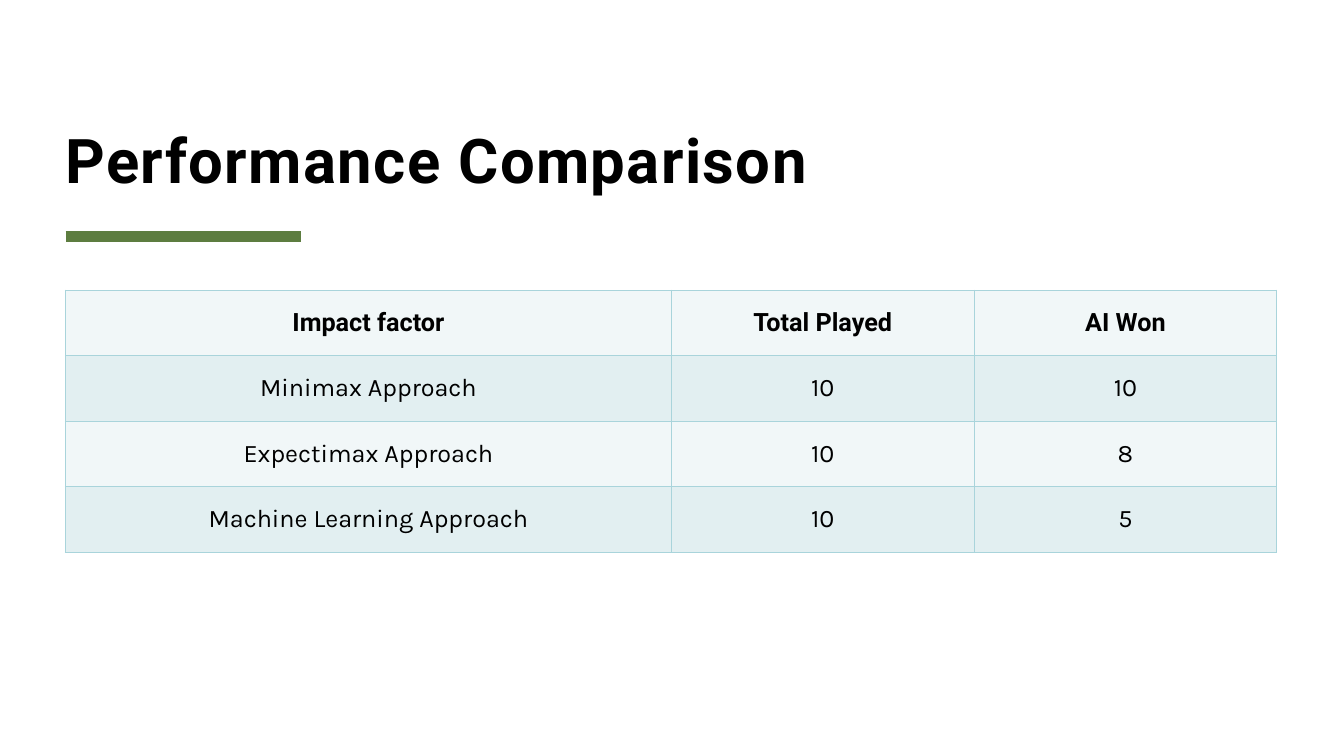
from lxml import etree
from pptx import Presentation
from pptx.dml.color import RGBColor
from pptx.enum import shapes, text
from pptx.oxml import ns
from pptx.util import Pt

TITLE = "Performance Comparison"
ROWS = [
    ("Impact factor", "Total Played", "AI Won"),
    ("Minimax Approach", "10", "10"),
    ("Expectimax Approach", "10", "8"),
    ("Machine Learning Approach", "10", "5"),
]

BLACK = RGBColor(0x00, 0x00, 0x00)
WHITE = RGBColor(0xFF, 0xFF, 0xFF)
GREEN = RGBColor(0x5D, 0x7D, 0x40)
EDGE = RGBColor(0xA9, 0xD4, 0xDB)
BANDS = (RGBColor(0xF1, 0xF7, 0xF8), RGBColor(0xE2, 0xEF, 0xF1))

LEFT = 46.8
WIDTHS = (432.8, 216.2, 216.2)
ROW_H = 46.8


def write(frame, words, size=18, font="Karla", bold=False,
          align=text.PP_ALIGN.CENTER, gap=0, lead=None):
    """Fill a text frame; gap is letter spacing in points."""
    para = frame.paragraphs[0]
    para.alignment = align
    if lead:
        para.line_spacing = lead
    run = para.add_run()
    run.text = words
    run.font.size = Pt(size)
    run.font.name = font
    run.font.bold = bold
    run.font.color.rgb = BLACK
    if gap:
        run.font._element.set("spc", str(gap * 100))


def border(cell):
    props = cell._tc.get_or_add_tcPr()
    for spot, side in enumerate(("lnL", "lnR", "lnT", "lnB")):
        line = etree.Element(ns.qn("a:" + side), w=str(Pt(1)))
        fill = etree.SubElement(line, ns.qn("a:solidFill"))
        etree.SubElement(fill, ns.qn("a:srgbClr"), val=str(EDGE))
        props.insert(spot, line)


def add_title(slide):
    title = slide.shapes.title
    title.left, title.top = Pt(LEFT), Pt(46)
    title.width, title.height = Pt(864), Pt(93.6)
    frame = title.text_frame
    frame.word_wrap = True
    frame.auto_size = text.MSO_AUTO_SIZE.NONE
    frame.vertical_anchor = text.MSO_ANCHOR.BOTTOM
    frame.margin_left = frame.margin_right = 0
    frame.margin_top = frame.margin_bottom = 0
    write(frame, TITLE, size=44, font="Roboto", bold=True,
          align=text.PP_ALIGN.LEFT, gap=1, lead=0.8)


def add_rule(slide):
    rule = slide.shapes.add_connector(
        shapes.MSO_CONNECTOR.STRAIGHT,
        Pt(LEFT), Pt(169.2), Pt(LEFT + 168), Pt(169.2))
    rule.line.color.rgb = GREEN
    rule.line.width = Pt(8)
    etree.SubElement(rule._element.spPr, ns.qn("a:effectLst"))


def add_scores(slide):
    table = slide.shapes.add_table(
        len(ROWS), len(WIDTHS), Pt(LEFT), Pt(207.2),
        Pt(sum(WIDTHS)), Pt(ROW_H * len(ROWS))).table
    for col, width in zip(table.columns, WIDTHS):
        col.width = Pt(width)
    for r, row in enumerate(ROWS):
        table.rows[r].height = Pt(ROW_H)
        head = r == 0
        for c, words in enumerate(row):
            cell = table.cell(r, c)
            cell.fill.solid()
            cell.fill.fore_color.rgb = BANDS[r % 2]
            cell.vertical_anchor = text.MSO_ANCHOR.MIDDLE
            border(cell)
            write(cell.text_frame, words, bold=head,
                  font="Roboto" if head else "Karla")


def main():
    deck = Presentation()
    deck.slide_width, deck.slide_height = Pt(960), Pt(540)
    slide = deck.slides.add_slide(deck.slide_layouts[5])
    slide.background.fill.solid()
    slide.background.fill.fore_color.rgb = WHITE
    add_rule(slide)
    add_title(slide)
    add_scores(slide)
    deck.save("out.pptx")


if __name__ == "__main__":
    main()
